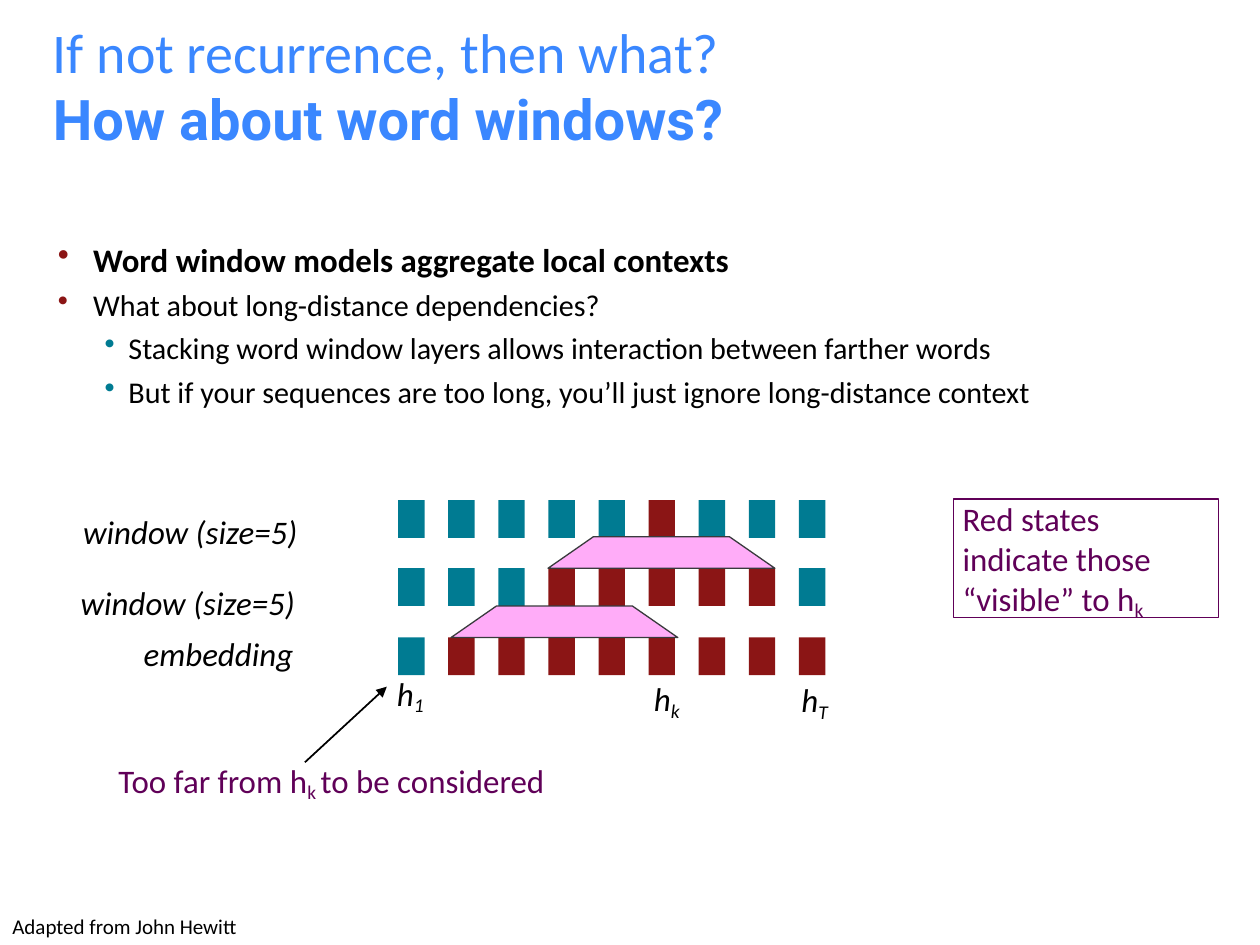
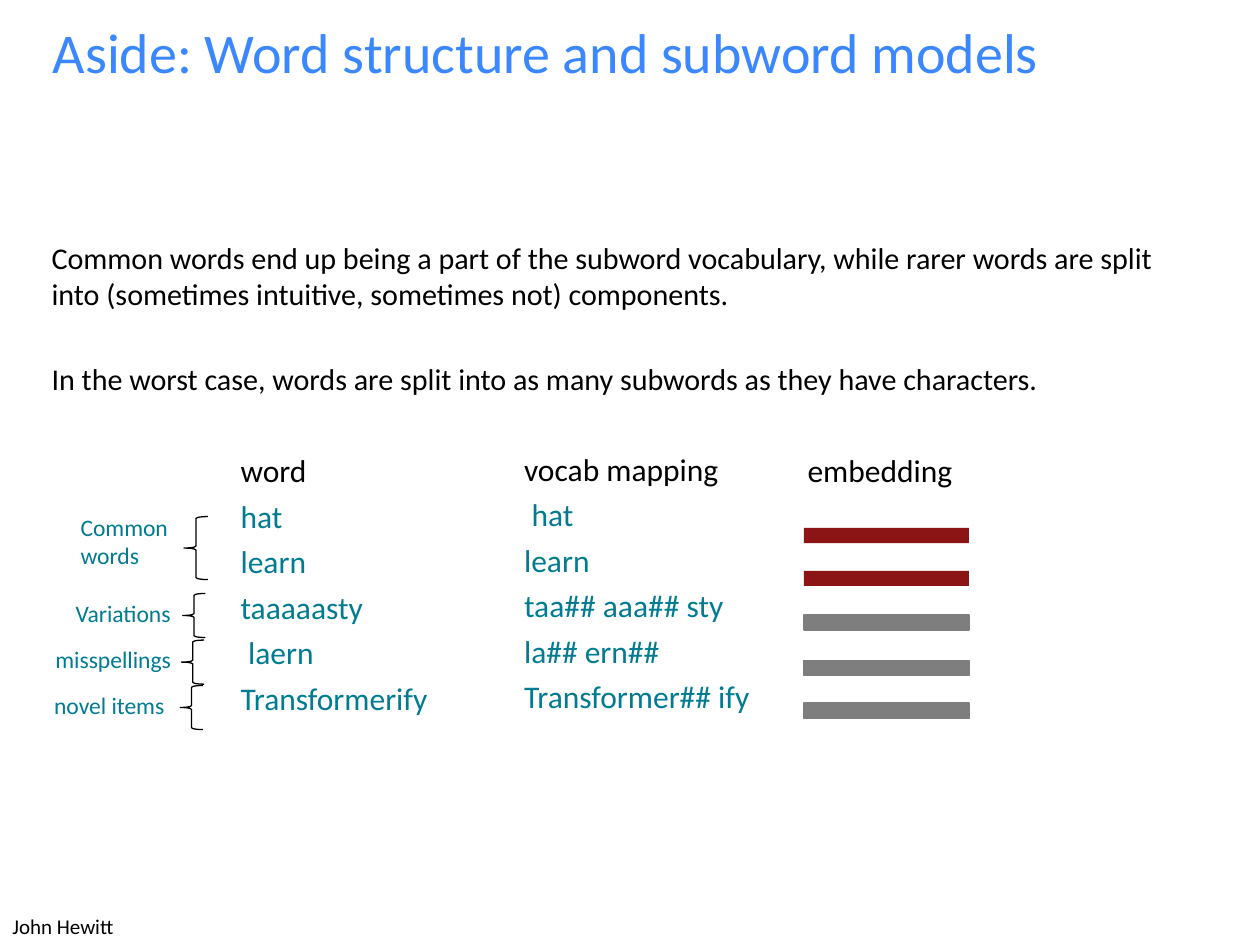
from lxml.etree import SubElement
from pptx import Presentation
from pptx.dml.color import RGBColor
from pptx.enum.shapes import MSO_CONNECTOR, MSO_SHAPE
from pptx.oxml.ns import qn
from pptx.util import Inches, Pt

BLUE, TEAL, RED, PINK = "3A87FF", "007B92", "8B1515", "FFACF8"
PURPLE, GREY, BLACK, OUTLINE = "600058", "7E7E7E", "000000", "393A3D"
LABEL_SIZE = 18.8

# Text is a list of lines; a line is a list of (text, style) runs.
SUB = {"size": 19.1, "sub": True}
WINDOW_TITLE = [
    ("If not recurrence, then what?", {}),
    ("How about word windows?", {"font": "Roboto", "bold": True}),
]
SUBWORD_TITLE = [("Aside: Word structure and subword models", {})]

# text, level, size, bold, space before
WINDOW_POINTS = [
    ("Word window models aggregate local contexts", 0, 18.8, True, 0),
    ("What about long-distance dependencies?", 0, 17.2, False, 4.4),
    ("Stacking word window layers allows interaction between farther words", 1, 17.2, False, 4.1),
    ("But if your sequences are too long, you’ll just ignore long-distance context", 1, 17.2, False, 4.1),
]
BULLETS = [(0.29, -0.28, RED), (0.57, -0.19, TEAL)]  # indent, hanging, colour

# Top of each row, then its states: R is visible to h_k, T is not
STATE_ROWS = [(3.97, "TTTTTRTTT"), (4.51, "TTTRRRRRT"), (5.06, "TRRRRRRRR")]
STATE_COLOURS = {"T": TEAL, "R": RED}
STATE_LEFT, STATE_PITCH = 3.16, 3.18 / 8
WINDOWS = [(4.35, 4.26), (3.58, 4.81)]
ROW_LABELS = [
    ("window (size=5)", 0.66, 4.06),
    ("window (size=5)", 0.64, 4.62),
    ("embedding", 1.14, 5.03),
]
STATE_LABELS = [("1", 3.15, 5.34), ("k", 5.19, 5.38), ("T", 6.36, 5.39)]
LEGEND = [
    [("Red states", {})],
    [("indicate those", {})],
    [("“visible” to h", {}), ("k", SUB)],
]
TOO_FAR = [[("Too far from h", {}), ("k ", SUB), ("to be considered", {})]]

SUBWORD_TEXT = [
    "Common words end up being a part of the subword vocabulary, while rarer words "
    "are split into (sometimes intuitive, sometimes not) components.",
    "In the worst case, words are split into as many subwords as they have characters.",
]
# left, top, width, heading, entries, position of the slightly indented entry
WORD_COLUMNS = [
    (1.91, 3.52, 2.0, "word", ["hat", "learn", "taaaaasty", "laern", "Transformerify"], 3),
    (4.16, 3.51, 2.1, "vocab mapping",
     ["hat", "learn", "taa## aaa## sty", "la## ern##", "Transformer## ify"], 0),
    (6.41, 3.52, 1.3, "embedding", [], None),
]
EMBEDDINGS = [(4.19, RED), (4.53, RED), (4.88, GREY), (5.24, GREY), (5.58, GREY)]
# lines, text left and top, brace left, top, width and height
WORD_KINDS = [
    (["Common", "words"], 0.64, 4.07, (1.46, 4.1, 0.19, 0.5)),
    (["Variations"], 0.6, 4.75, (1.45, 4.71, 0.18, 0.35)),
    (["misspellings"], 0.44, 5.12, (1.44, 5.08, 0.18, 0.35)),
    (["novel items"], 0.43, 5.48, (1.43, 5.44, 0.18, 0.35)),
]


def colour(value):
    return RGBColor.from_string(value)


def add_span(para, text, size, tint, font="Calibri", bold=False, italic=False, sub=False):
    span = para.add_run()
    span.text = text
    span.font.name, span.font.size = font, Pt(size)
    span.font.bold, span.font.italic = bold, italic
    span.font.color.rgb = colour(tint)
    if sub:
        span.font._element.set("baseline", "-20000")


def add_box(slide, left, top, width, height, inset=(0, 0), wrap=True):
    box = slide.shapes.add_textbox(*map(Inches, (left, top, width, height)))
    frame = box.text_frame
    frame.word_wrap = wrap
    frame.margin_left = frame.margin_right = Inches(inset[0])
    frame.margin_top = frame.margin_bottom = Inches(inset[1])
    return box


def next_para(box, index):
    return box.text_frame.add_paragraph() if index else box.text_frame.paragraphs[0]


def add_lines(box, lines, size, tint, **style):
    for index, line in enumerate(lines):
        para = next_para(box, index)
        for text, changes in line:
            add_span(para, text, **{"size": size, "tint": tint, **style, **changes})


def add_figure(slide, kind, place, fill=None, line=None):
    figure = slide.shapes.add_shape(kind, *map(Inches, place))
    figure.shadow.inherit = False
    if fill:
        figure.fill.solid()
        figure.fill.fore_color.rgb = colour(fill)
    else:
        figure.fill.background()
    if line:
        figure.line.color.rgb = colour(line)
        figure.line.width = Pt(0.75)
    else:
        figure.line.fill.background()
    return figure


def add_arrow(slide, start, end):
    arrow = slide.shapes.add_connector(MSO_CONNECTOR.STRAIGHT, *map(Inches, start + end))
    arrow.line.color.rgb = colour(BLACK)
    arrow.line.width = Pt(1)
    SubElement(arrow.line._get_or_add_ln(), qn("a:tailEnd"), type="triangle")
    SubElement(arrow._element.spPr, qn("a:effectLst"))


def set_bullet(para, level):
    indent, hanging, tint = BULLETS[level]
    properties = para._p.get_or_add_pPr()
    properties.set("marL", str(Inches(indent)))
    properties.set("indent", str(Inches(hanging)))
    SubElement(SubElement(properties, qn("a:buClr")), qn("a:srgbClr"), val=tint)
    SubElement(properties, qn("a:buChar"), char="•")


def add_slide(deck, title, credit):
    """Start a slide with the shared title and credit line."""
    slide = deck.slides.add_slide(deck.slide_layouts[6])
    box = add_box(slide, 0.42, 0.14, 9.14, 0.54 * len(title))
    para = box.text_frame.paragraphs[0]
    for index, (text, style) in enumerate(title):
        if index:
            para.add_line_break()
        add_span(para, text, 32, BLUE, **style)
    footer = add_box(slide, 0, 7.2, 2, 0.3, inset=(0.1, 0.05), wrap=False)
    add_lines(footer, [[(credit, {})]], 12, BLACK)
    return slide


def add_points(slide):
    box = add_box(slide, 0.45, 1.9, 8.6, 1.36)
    for index, (text, level, size, bold, gap) in enumerate(WINDOW_POINTS):
        para = next_para(box, index)
        para.level = level
        set_bullet(para, level)
        para.space_before = Pt(gap)
        add_span(para, text, size, BLACK, bold=bold)


def add_states(slide):
    for top, states in STATE_ROWS:
        for column, state in enumerate(states):
            left = STATE_LEFT + column * STATE_PITCH
            add_figure(slide, MSO_SHAPE.RECTANGLE, (left, top, 0.21, 0.3), STATE_COLOURS[state])
    for left, top in WINDOWS:
        window = add_figure(slide, MSO_SHAPE.TRAPEZOID, (left, top, 1.8, 0.25), PINK, OUTLINE)
        window.adjustments[0] = 1.44
    for text, left, top in ROW_LABELS:
        box = add_box(slide, left, top, 1.8, 0.32)
        add_lines(box, [[(text, {})]], LABEL_SIZE, BLACK, italic=True)
    for index, left, top in STATE_LABELS:
        box = add_box(slide, left, top, 0.35, 0.32)
        add_lines(box, [[("h", {}), (index, SUB)]], LABEL_SIZE, BLACK, italic=True)


def build_window_slide(deck):
    slide = add_slide(deck, WINDOW_TITLE, "Adapted from John Hewitt")
    add_points(slide)
    add_states(slide)
    add_figure(slide, MSO_SHAPE.RECTANGLE, (7.57, 3.96, 2.1, 0.94), line=PURPLE)
    add_lines(add_box(slide, 7.64, 3.96, 2.03, 0.94), LEGEND, LABEL_SIZE, PURPLE)
    add_lines(add_box(slide, 0.94, 6.03, 3.6, 0.32), TOO_FAR, LABEL_SIZE, PURPLE)
    add_arrow(slide, (2.42, 6.05), (3.07, 5.45))


def add_word_column(slide, left, top, width, heading, entries, indented):
    box = add_box(slide, left, top, width, 0.36 * (1 + len(entries)))
    for index, text in enumerate([heading] + entries):
        para = next_para(box, index)
        para.line_spacing = Pt(26)
        if index and index - 1 == indented:
            para._p.get_or_add_pPr().set("marL", str(Inches(0.06)))
        add_span(para, text, 18, TEAL if index else BLACK)


def build_subword_slide(deck):
    slide = add_slide(deck, SUBWORD_TITLE, "John Hewitt")
    box = add_box(slide, 0.41, 1.9, 8.86, 1.27)
    add_lines(box, [[(text, {})] for text in SUBWORD_TEXT], 17.2, BLACK)
    box.text_frame.paragraphs[1].space_before = Pt(28)
    for column in WORD_COLUMNS:
        add_word_column(slide, *column)
    for top, tint in EMBEDDINGS:
        add_figure(slide, MSO_SHAPE.RECTANGLE, (6.38, top, 1.31, 0.12), tint,
                   GREY if tint == GREY else None)
    for lines, left, top, brace in WORD_KINDS:
        box = add_box(slide, left, top, 1, 0.23 * len(lines))
        add_lines(box, [[(text, {})] for text in lines], 13.5, TEAL)
        add_figure(slide, MSO_SHAPE.LEFT_BRACE, brace, line=BLACK)


def main():
    deck = Presentation()
    deck.slide_width, deck.slide_height = Inches(10), Inches(7.5)
    build_window_slide(deck)
    build_subword_slide(deck)
    deck.save("out.pptx")


if __name__ == "__main__":
    main()
